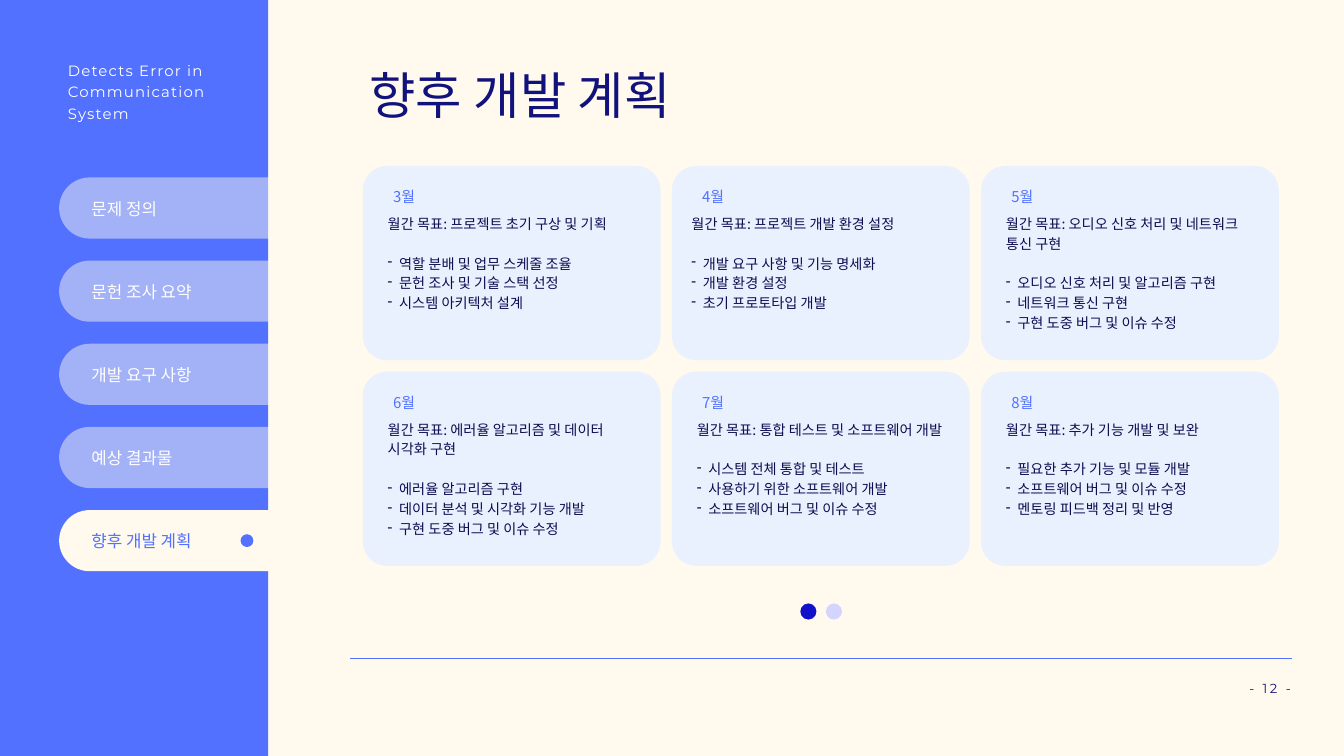
from dataclasses import dataclass

from lxml import etree
from pptx import Presentation
from pptx.dml.color import RGBColor
from pptx.enum import shapes, text
from pptx.oxml import ns
from pptx.util import Inches, Pt


@dataclass(frozen=True)
class Theme:
    cream: str = "FFFAED"
    blue: str = "5271FF"
    white: str = "FFFFFF"
    navy: str = "12127D"
    ink: str = "0D0D50"
    card: str = "E9F1FF"
    dot_on: str = "1211CA"
    dot_off: str = "D5D4FF"
    heading_font: str = "Calibri"
    label_font: str = "Montserrat"
    body_font: str = "Noto Sans CJK KR"
    title_size: float = 54
    tab_size: float = 18
    label_size: float = 16
    body_size: float = 15.2
    page_size: float = 14


@dataclass(frozen=True)
class MonthPlan:
    month: str
    goal: str
    tasks: tuple
    inset: float = 0.37


THEME = Theme()
COURSE = ("Detects Error in", "Communication", "System")
TABS = ("문제 정의", "문헌 조사 요약", "개발 요구 사항", "예상 결과물", "향후 개발 계획")
PLANS = (
    MonthPlan("3월", "월간 목표: 프로젝트 초기 구상 및 기획",
              ("역할 분배 및 업무 스케줄 조율", "문헌 조사 및 기술 스택 선정", "시스템 아키텍처 설계")),
    MonthPlan("4월", "월간 목표: 프로젝트 개발 환경 설정",
              ("개발 요구 사항 및 기능 명세화", "개발 환경 설정", "초기 프로토타입 개발"), 0.29),
    MonthPlan("5월", "월간 목표: 오디오 신호 처리 및 네트워크 통신 구현",
              ("오디오 신호 처리 및 알고리즘 구현", "네트워크 통신 구현", "구현 도중 버그 및 이슈 수정")),
    MonthPlan("6월", "월간 목표: 에러율 알고리즘 및 데이터 시각화 구현",
              ("에러율 알고리즘 구현", "데이터 분석 및 시각화 기능 개발", "구현 도중 버그 및 이슈 수정")),
    MonthPlan("7월", "월간 목표: 통합 테스트 및 소프트웨어 개발",
              ("시스템 전체 통합 및 테스트", "사용하기 위한 소프트웨어 개발", "소프트웨어 버그 및 이슈 수정")),
    MonthPlan("8월", "월간 목표: 추가 기능 개발 및 보완",
              ("필요한 추가 기능 및 모듈 개발", "소프트웨어 버그 및 이슈 수정", "멘토링 피드백 정리 및 반영")),
)


def add_panel(slide, kind, left, top, width, height, color, opacity=None, corner=None):
    """Add a borderless filled shape; opacity is a percentage, corner a radius in inches."""
    shape = slide.shapes.add_shape(kind, Inches(left), Inches(top), Inches(width), Inches(height))
    shape.shadow.inherit = False
    shape.line.fill.background()
    shape.fill.solid()
    shape.fill.fore_color.rgb = RGBColor.from_string(color)
    if opacity is not None:
        fill_color = shape.fill._xPr.find(".//" + ns.qn("a:srgbClr"))
        etree.SubElement(fill_color, ns.qn("a:alpha")).set("val", str(opacity * 1000))
    if corner is not None:
        shape.adjustments[0] = corner / min(width, height)
    return shape


def add_dot(slide, left, top, size, color):
    add_panel(slide, shapes.MSO_SHAPE.OVAL, left, top, size, size, color)


def add_text(slide, left, top, width, height, lines, font, size, color, leading, tracking=0):
    """Add a text box without margins; leading and tracking are in points."""
    box = slide.shapes.add_textbox(Inches(left), Inches(top), Inches(width), Inches(height))
    frame = box.text_frame
    frame.margin_left = frame.margin_top = frame.margin_right = frame.margin_bottom = 0
    frame.word_wrap = True
    frame.text = "\n".join(lines)
    for paragraph in frame.paragraphs:
        paragraph.line_spacing = Pt(leading)
        for run in paragraph.runs:
            run.font.size = Pt(size)
            run.font.color.rgb = RGBColor.from_string(color)
            run.font.name = font
            properties = run._r.get_or_add_rPr()
            etree.SubElement(properties, ns.qn("a:ea")).set("typeface", font)
            if tracking:
                properties.set("spc", str(round(tracking * 100)))
    return frame


def add_dash(paragraph, indent):
    properties = paragraph._p.get_or_add_pPr()
    properties.set("marL", str(Inches(indent)))
    properties.set("indent", str(-Inches(indent)))
    etree.SubElement(properties, ns.qn("a:buChar")).set("char", "-")


def add_tab(slide, left, top, width, height, label, active):
    add_panel(slide, shapes.MSO_SHAPE.ROUNDED_RECTANGLE, left, top, width, height, THEME.cream,
              opacity=None if active else 47, corner=height / 2)
    add_text(slide, left + 0.48, top + 0.31, 2.55, 0.3, [label], THEME.heading_font,
             THEME.tab_size, THEME.blue if active else THEME.white, 21.6)
    if active:
        add_dot(slide, left + 2.7, top + 0.36, 0.19, THEME.blue)


def add_sidebar(slide, left, top, width, height):
    add_panel(slide, shapes.MSO_SHAPE.RECTANGLE, left, top, width, height, THEME.blue)
    add_text(slide, left + 1.01, top + 0.86, 2.13, 0.93, COURSE, THEME.label_font,
             THEME.label_size, THEME.white, 23, tracking=1.3)
    # The tabs run past the sidebar and merge with the cream background.
    for index, label in enumerate(TABS):
        add_tab(slide, left + 0.88, top + 2.64 + index * 1.2375, 3.56, 0.91, label,
                active=index == len(TABS) - 1)


def add_card(slide, left, top, width, height, plan):
    add_panel(slide, shapes.MSO_SHAPE.ROUNDED_RECTANGLE, left, top, width, height, THEME.card,
              corner=0.36)
    add_text(slide, left + 0.45, top + 0.32, 2.8, 0.27, [plan.month], THEME.body_font,
             THEME.label_size, THEME.blue, 19.2)
    leading = 21.3
    frame = add_text(slide, left + plan.inset, top + 0.69, 3.68, 1.75, [plan.goal, *plan.tasks],
                     THEME.body_font, THEME.body_size, THEME.ink, leading)
    tasks = frame.paragraphs[1:]
    tasks[0].space_before = Pt(leading)
    for paragraph in tasks:
        add_dash(paragraph, 0.17)


def add_plan_grid(slide, left, top, width, height, columns=3, gap=0.17):
    rows = len(PLANS) // columns
    card_width = (width - gap * (columns - 1)) / columns
    card_height = (height - gap * (rows - 1)) / rows
    for index, plan in enumerate(PLANS):
        row, column = divmod(index, columns)
        add_card(slide, left + column * (card_width + gap), top + row * (card_height + gap),
                 card_width, card_height, plan)


def add_footer(slide, left, top, width):
    rule = slide.shapes.add_connector(shapes.MSO_CONNECTOR.STRAIGHT, Inches(left), Inches(top),
                                      Inches(left + width), Inches(top))
    rule.line.color.rgb = RGBColor.from_string(THEME.blue)
    rule.line.width = Pt(0.75)
    etree.SubElement(rule._element.spPr, ns.qn("a:effectLst"))
    frame = add_text(slide, left + width - 3.39, top + 0.32, 3.37, 0.22, ["- 12 -"],
                     THEME.label_font, THEME.page_size, THEME.navy, 16.8, tracking=2.7)
    frame.paragraphs[0].alignment = text.PP_ALIGN.RIGHT


def add_pager(slide, left, top):
    for index, color in enumerate((THEME.dot_on, THEME.dot_off)):
        add_dot(slide, left + index * 0.38, top, 0.24, color)


def main():
    presentation = Presentation()
    presentation.slide_width = Inches(20)
    presentation.slide_height = Inches(11.25)
    slide = presentation.slides.add_slide(presentation.slide_layouts[6])
    slide.background.fill.solid()
    slide.background.fill.fore_color.rgb = RGBColor.from_string(THEME.cream)
    add_sidebar(slide, 0, 0, 3.99, 11.25)
    add_text(slide, 5.5, 1.18, 8.99, 0.71, ["향후 개발 계획"], THEME.heading_font,
             THEME.title_size, THEME.navy, 48)
    add_plan_grid(slide, 5.4, 2.47, 13.63, 5.95)
    add_pager(slide, 11.91, 8.98)
    add_footer(slide, 5.21, 9.8, 14.02)
    presentation.save("out.pptx")


if __name__ == "__main__":
    main()
